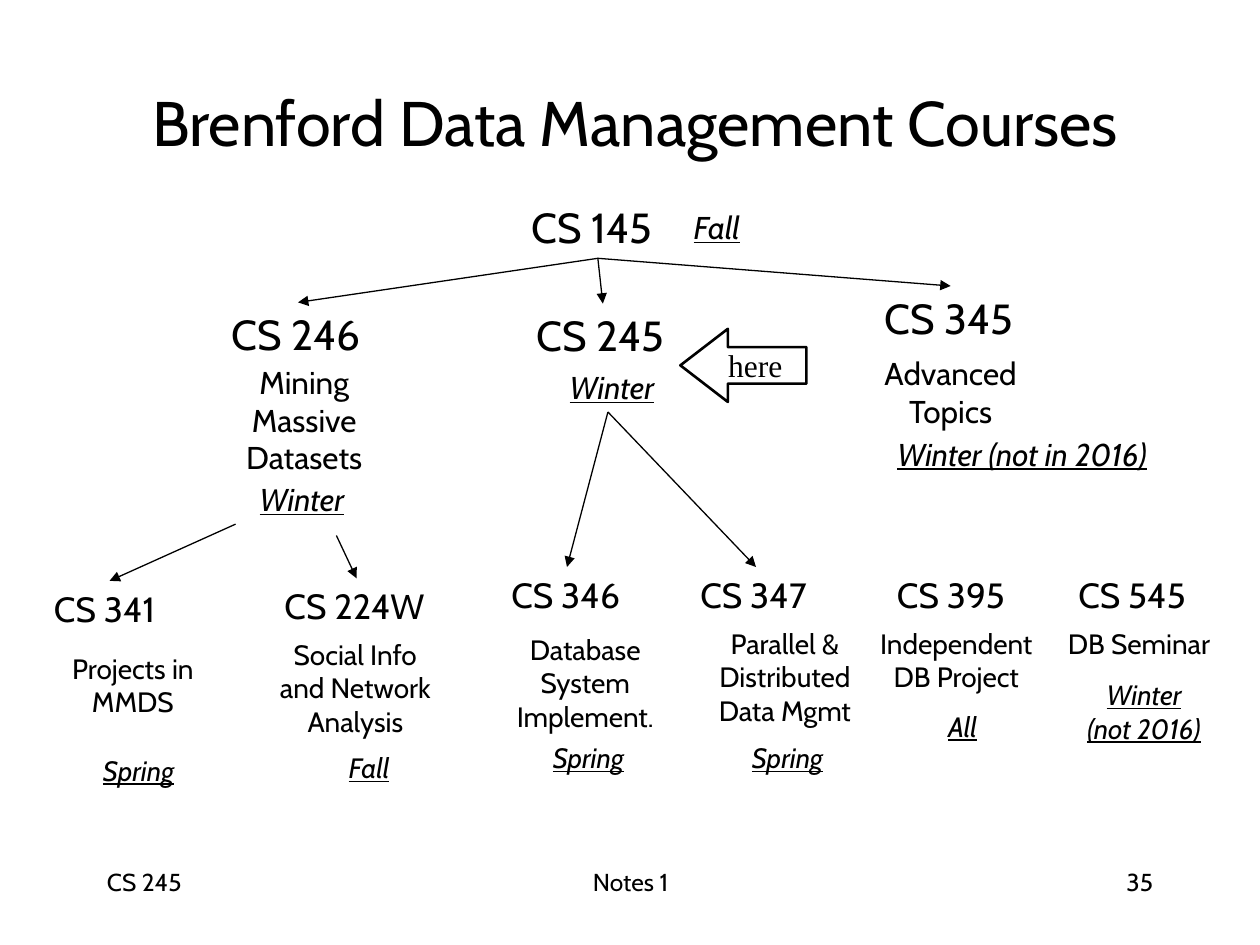
from dataclasses import dataclass

from lxml import etree
from pptx import Presentation
from pptx.dml.color import RGBColor
from pptx.enum.shapes import MSO_CONNECTOR, MSO_SHAPE
from pptx.enum.text import MSO_ANCHOR, MSO_AUTO_SIZE, PP_ALIGN
from pptx.oxml.ns import qn
from pptx.util import Inches, Pt

LEFT, CENTER, RIGHT = PP_ALIGN.LEFT, PP_ALIGN.CENTER, PP_ALIGN.RIGHT
MIDDLE = MSO_ANCHOR.MIDDLE
GROW = MSO_AUTO_SIZE.SHAPE_TO_FIT_TEXT
STRAIGHT = MSO_CONNECTOR.STRAIGHT
LEFT_ARROW = MSO_SHAPE.LEFT_ARROW
TOP, BOTTOM = 0, 2
COLUMNS, ROWS = 100, 75


@dataclass(frozen=True)
class Theme:
    ink: RGBColor = RGBColor(0, 0, 0)
    font: str = "Cabin"
    marker_font: str = "Times New Roman"
    title: int = 36
    core_code: int = 24
    code: int = 20
    core_detail: int = 18
    detail: int = 16
    footer: int = 14
    thin: float = 0.75
    outline: float = 1.5


THEME = Theme()
WIDTH, HEIGHT = Inches(10), Inches(7.5)

CORE_CODES = [
    ("CS 145", 41.2, 15.5),
    ("CS 245", 41.6, 24.1),
    ("CS 345", 69.2, 22.7),
    ("CS 246", 17.4, 24),
]
CODES = [
    ("CS 341", 3.3, 46.1, 10.8),
    ("CS 224W", 21.6, 45.9, 13.4),
    ("CS 346", 39.6, 45, 10.8),
    ("CS 347", 54.6, 45, 10.8),
    ("CS 395", 70.2, 45, 10.8),
    ("CS 545", 84.6, 45, 10.8),
]
CORE_TOPICS = [
    ("Advanced Topics", 68.8, 27.6, 13.3, 7),
    ("Mining Massive Datasets", 17.5, 28.3, 13.3, 10),
]
TOPICS = [
    ("Projects in MMDS", 3.9, 51.2, 13.3, 6.4),
    ("Social Info and Network Analysis", 20.8, 50.1, 14.8, 11.7),
    ("Database\vSystem\vImplement.", 37.9, 49.7, 17.1, 9),
    ("Parallel & Distributed\vData Mgmt", 54.6, 49.2, 15.4, 9),
    ("Independent\nDB Project", 67.5, 49.2, 16.8, 6.4),
    ("DB Seminar", 83.3, 49.2, 14.2, 6.4),
]
CORE_TERMS = [
    ("CS 145", "Fall", 52.8, 16, 6.9),
    ("CS 245", "Winter", 43.6, 28.7, 9.3),
    ("CS 246", "Winter", 19, 37.6, 9.3),
    ("CS 345", "Winter (not in 2016)", 68, 34, 24),
]
TERMS = [
    ("Spring", 6.8, 59.3, 8.4, 3.7),
    ("Fall", 26.6, 59.1, 5.4, 3.7),
    ("Spring", 42.5, 58.3, 8.4, 3.7),
    ("Spring", 58.3, 58.3, 8.4, 3.7),
    ("All", 74.2, 55.8, 4.4, 3.7),
    ("Winter\n(not 2016)", 84.8, 53.3, 12, 6.4),
]
FOOTERS = [
    ("CS 245", 7.5, 20.8, LEFT),
    ("Notes 1", 34.2, 31.7, CENTER),
    ("35", 71.7, 20.8, RIGHT),
]


def across(columns):
    return round(WIDTH * columns / COLUMNS)


def down(rows):
    return round(HEIGHT * rows / ROWS)


def place(left, top, width, height):
    return across(left), down(top), across(width), down(height)


def write(shape, text, size, align=CENTER, term=False, font=THEME.font):
    shape.text_frame.text = text
    for para in shape.text_frame.paragraphs:
        para.alignment = align
        para.font.name = font
        para.font.size = Pt(size)
        para.font.color.rgb = THEME.ink
        if term:
            para.font.italic = para.font.underline = True


def add_text(page, text, area, size, align=CENTER, wrap=True, grow=True, term=False):
    box = page.shapes.add_textbox(*place(*area))
    write(box, text, size, align, term)
    box.text_frame.word_wrap = wrap
    if grow:
        box.text_frame.auto_size = GROW
    return box


def add_arrow(page, target, source=None, start=(0, 0)):
    arrow = page.shapes.add_connector(
        STRAIGHT, across(start[0]), down(start[1]), target.left, target.top)
    if source is not None:
        arrow.begin_connect(source, BOTTOM)
    arrow.end_connect(target, TOP)
    arrow.line.color.rgb = THEME.ink
    arrow.line.width = Pt(THEME.thin)
    etree.SubElement(arrow.line._get_or_add_ln(), qn("a:tailEnd"), type="triangle")
    etree.SubElement(arrow._element.spPr, qn("a:effectLst"))


def add_marker(page):
    marker = page.shapes.add_shape(LEFT_ARROW, *place(54, 26.1, 10, 5.8))
    marker.adjustments[0], marker.adjustments[1] = 0.5, 0.65
    marker.shadow.inherit = False
    marker.fill.background()
    marker.line.color.rgb = THEME.ink
    marker.line.width = Pt(THEME.outline)
    write(marker, "here", THEME.core_detail, font=THEME.marker_font)
    marker.text_frame.word_wrap = False
    marker.text_frame.vertical_anchor = MIDDLE


def add_codes(page):
    codes = {}
    for code, left, top in CORE_CODES:
        codes[code] = add_text(page, code, (left, top, 12.5, 5),
                               THEME.core_code, LEFT, wrap=False)
    for code, left, top, width in CODES:
        codes[code] = add_text(page, code, (left, top, width, 4.4),
                               THEME.code, LEFT, wrap=False)
    return codes


def add_topics(page):
    for topics, size in ((CORE_TOPICS, THEME.core_detail), (TOPICS, THEME.detail)):
        for text, *area in topics:
            add_text(page, text, area, size)


def add_terms(page):
    core_terms = {}
    for code, text, left, top, width in CORE_TERMS:
        core_terms[code] = add_text(page, text, (left, top, width, 4),
                                    THEME.core_detail, RIGHT, wrap=False, term=True)
    for text, *area in TERMS:
        add_text(page, text, area, THEME.detail, wrap=False, term=True)
    return core_terms


def add_arrows(page, codes, core_terms):
    for code in ("CS 246", "CS 245", "CS 345"):
        add_arrow(page, codes[code], codes["CS 145"])
    for code in ("CS 346", "CS 347"):
        add_arrow(page, codes[code], core_terms["CS 245"])
    add_arrow(page, codes["CS 341"], start=(18.7, 41.6))
    add_arrow(page, codes["CS 224W"], start=(26.7, 42.5))


def main():
    deck = Presentation()
    deck.slide_width, deck.slide_height = WIDTH, HEIGHT
    page = deck.slides.add_slide(deck.slide_layouts[6])
    title = add_text(page, "Brenford Data Management Courses",
                     (5, 5, 90.8, 9.2), THEME.title, grow=False)
    title.text_frame.vertical_anchor = MIDDLE
    codes = add_codes(page)
    add_topics(page)
    core_terms = add_terms(page)
    add_arrows(page, codes, core_terms)
    add_marker(page)
    for text, left, width, align in FOOTERS:
        add_text(page, text, (left, 68.3, width, 5), THEME.footer, align, grow=False)
    deck.save("out.pptx")


if __name__ == "__main__":
    main()
